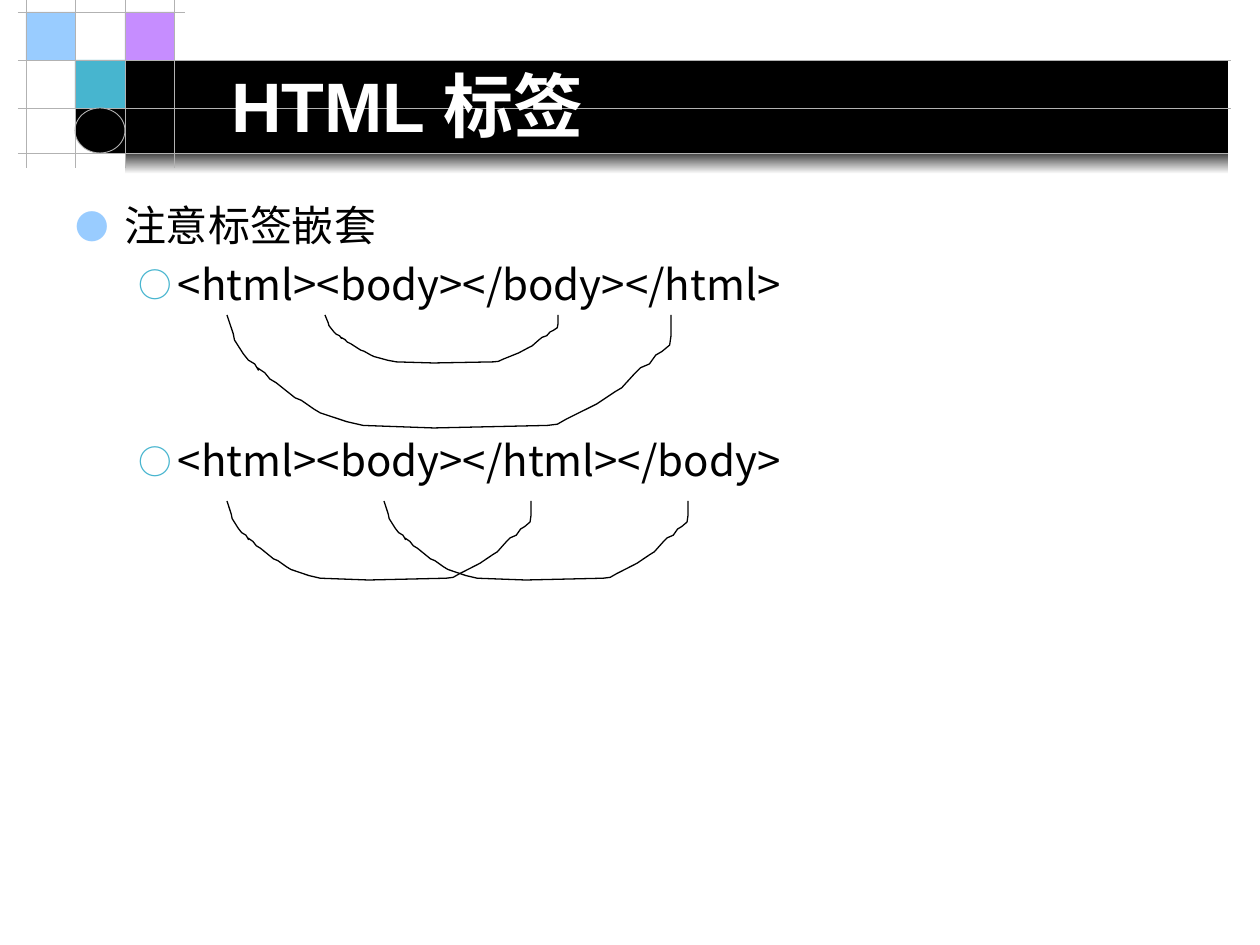
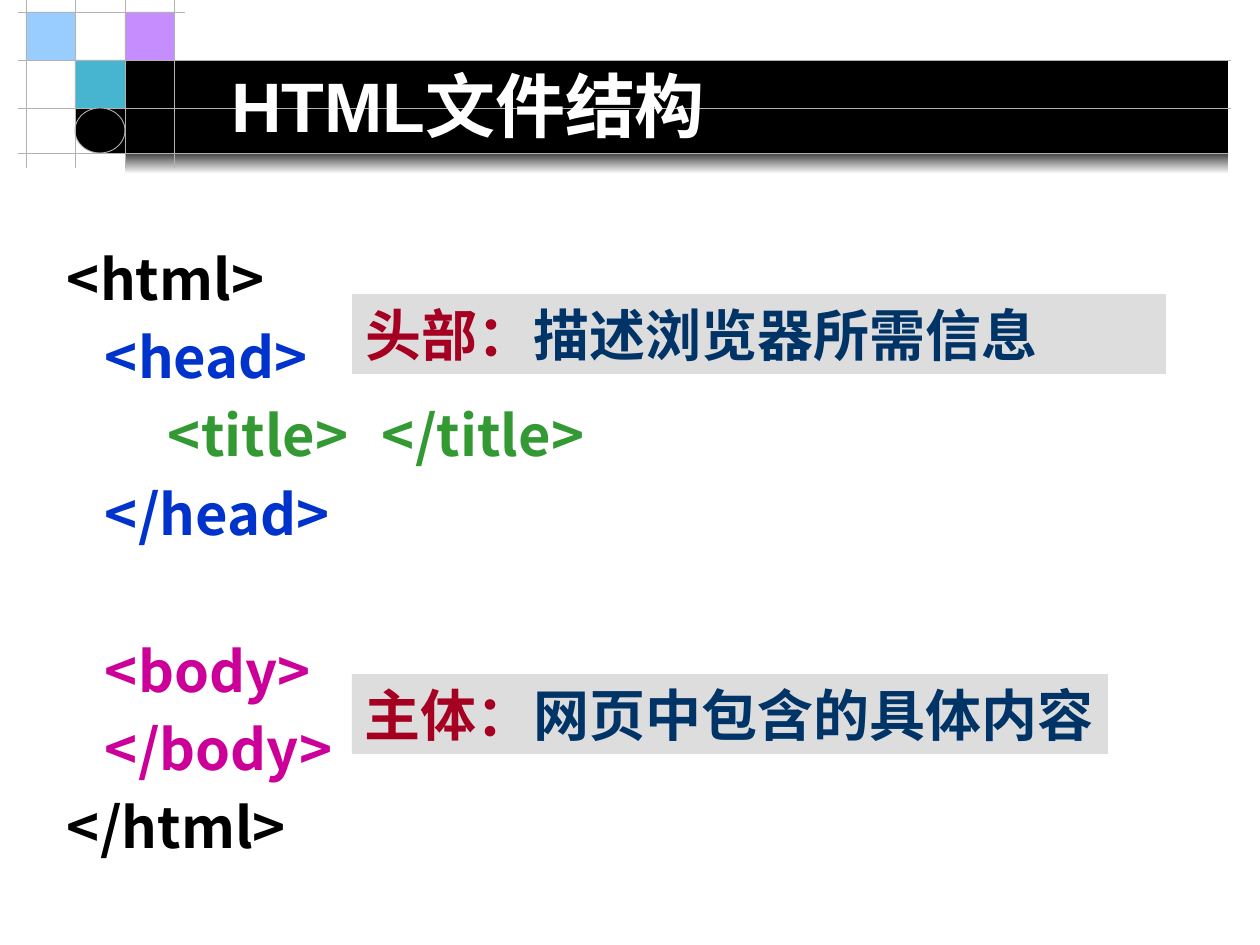
from dataclasses import dataclass

from lxml import etree
from pptx import Presentation
from pptx.dml.color import RGBColor
from pptx.enum.shapes import MSO_CONNECTOR, MSO_SHAPE
from pptx.enum.text import MSO_ANCHOR
from pptx.oxml.ns import qn
from pptx.util import Emu, Pt

RECT, OVAL = MSO_SHAPE.RECTANGLE, MSO_SHAPE.OVAL
STRAIGHT = MSO_CONNECTOR.STRAIGHT
TOP, MIDDLE = MSO_ANCHOR.TOP, MSO_ANCHOR.MIDDLE
PX = 914400 // 126


@dataclass(frozen=True)
class Theme:
    black: str = "000000"
    white: str = "FFFFFF"
    grid: str = "B2B2B2"
    sky: str = "99CCFF"
    violet: str = "C68DFF"
    teal: str = "47B5CF"
    blue: str = "0033CC"
    green: str = "339933"
    magenta: str = "CC0099"
    label_fill: str = "DDDDDD"
    label_term: str = "A50021"
    label_text: str = "003366"
    heading_font: str = "Arial"
    body_font: str = "Noto Sans CJK SC"
    label_font: str = "Times New Roman"
    title_size: int = 40
    nesting_size: int = 24
    code_size: int = 32
    pitch: float = 1.4  # line height in ems


THEME = Theme()

# Header grid: column and row lines, then cells as (column, row, colour)
COLUMNS = (26, 75, 125, 174)
ROWS = (12, 60, 108, 153)
GRID_LEFT, GRID_BOTTOM, BAND_RIGHT = 18, 168, 1228
ROW_ENDS = (185, 1231, 1231, 1228)
CELLS = [(2, 0, THEME.violet), (0, 0, THEME.sky), (1, 1, THEME.teal)]

# Nesting slide: (text, level, skipped lines before it)
NESTING_TITLE = "HTML 标签"
NESTING_LINES = [
    ("注意标签嵌套", 0, 0),
    ("<html><body></body></html>", 1, 0),
    ("<html><body></html></body>", 1, 2),
]
BULLETS = [("●", THEME.sky, 48, 48), ("○", THEME.teal, 102, 39)]
# Arc between a tag and its partner, drawn in a 352 by 90 field
ARC = [(0, 0), (5, 15), (6, 20), (13, 31), (17, 36), (22, 39), (25, 44),
       (24, 42), (30, 46), (34, 51), (39, 54), (54, 66), (59, 68), (69, 75),
       (74, 78), (95, 85), (108, 88), (164, 90), (254, 88), (262, 87),
       (269, 83), (283, 76), (293, 71), (308, 61), (313, 58), (323, 47),
       (328, 42), (335, 39), (340, 32), (345, 29), (351, 24), (352, 17),
       (352, 0)]
ARC_WIDTH, ARC_HEIGHT = 352, 90
TAG_ARCS = [(227, 315, 444, 113), (325, 315, 233, 48),
            (227, 501, 304, 79), (384, 501, 304, 79)]

# Structure slide: (text, colour, indent, skipped lines before it)
STRUCTURE_TITLE = "HTML文件结构"
CODE_LINES = [
    ("<html>", THEME.black, 0, 0),
    ("<head>", THEME.blue, 38, 0),
    ("<title>\t</title>", THEME.green, 101, 0),
    ("</head>", THEME.blue, 38, 0),
    ("<body>", THEME.magenta, 38, 1),
    ("</body>", THEME.magenta, 38, 0),
    ("</html>", THEME.black, 0, 0),
]
CLOSING_TAG_TAB = 333
LABELS = [
    ("头部：", "描述浏览器所需信息", (352, 294, 814, 80)),
    ("主体：", "网页中包含的具体内容", (352, 674, 756, 80)),
]


def rgb(colour):
    return RGBColor.from_string(colour)


def px(*lengths):
    return [Emu(round(length * PX)) for length in lengths]


def set_outline(line, colour, width):
    line.color.rgb = rgb(colour)
    line.width = Pt(width)


def add_block(slide, box, colour, kind=RECT, outline=None):
    block = slide.shapes.add_shape(kind, *px(*box))
    block.shadow.inherit = False
    block.fill.solid()
    block.fill.fore_color.rgb = rgb(colour)
    if outline:
        set_outline(block.line, outline, 0.5)
    else:
        block.line.fill.background()
    return block


def add_grid_line(slide, *ends):
    rule = slide.shapes.add_connector(STRAIGHT, *px(*ends))
    set_outline(rule.line, THEME.grid, 0.5)
    etree.SubElement(rule._element.spPr, qn("a:effectLst"))


def add_text(paragraph, text, *, size, color, font=THEME.body_font, bold=False):
    run = paragraph.add_run()
    run.text = text
    run.font.size = Pt(size)
    run.font.bold = bold
    run.font.name = font
    run.font.color.rgb = rgb(color)
    east_asian = etree.SubElement(run._r.get_or_add_rPr(), qn("a:ea"))
    east_asian.set("typeface", THEME.body_font)


def set_frame(shape, inset=0, anchor=TOP):
    frame = shape.text_frame
    frame.word_wrap = True
    frame.vertical_anchor = anchor
    frame.margin_left, = px(inset)
    frame.margin_right = frame.margin_top = frame.margin_bottom = 0
    return frame


def add_frame(slide, box, **options):
    return set_frame(slide.shapes.add_textbox(*px(*box)), **options)


def add_line(frame, index, size, skipped, margin=0, indent=0):
    """Return a paragraph on the fixed line pitch, after the skipped lines."""
    paragraph = frame.add_paragraph() if index else frame.paragraphs[0]
    pitch = size * THEME.pitch
    paragraph.line_spacing = Pt(pitch)
    paragraph.space_before = Pt(pitch * skipped)
    properties = paragraph._p.get_or_add_pPr()
    properties.set("marL", str(margin * PX))
    properties.set("indent", str(indent * PX))
    return paragraph


def add_bullet(paragraph, symbol, colour):
    properties = paragraph._p.get_or_add_pPr()
    bullet_colour = etree.SubElement(properties, qn("a:buClr"))
    etree.SubElement(bullet_colour, qn("a:srgbClr")).set("val", colour)
    etree.SubElement(properties, qn("a:buSzPct")).set("val", "80000")
    etree.SubElement(properties, qn("a:buFont")).set("typeface", THEME.body_font)
    etree.SubElement(properties, qn("a:buChar")).set("char", symbol)


def add_tab(paragraph, position):
    tabs = etree.SubElement(paragraph._p.get_or_add_pPr(), qn("a:tabLst"))
    tab = etree.SubElement(tabs, qn("a:tab"))
    tab.set("pos", str(position * PX))
    tab.set("algn", "l")


def add_header(slide, title):
    band_left, band_top, band_bottom = COLUMNS[1], ROWS[1], ROWS[3]
    fade_left = COLUMNS[2]
    fade = add_block(slide, (fade_left, 146, BAND_RIGHT - fade_left, 28), THEME.black)
    fade.fill.gradient()
    fade.fill.gradient_angle = 270
    for stop, colour in zip(fade.fill.gradient_stops, (THEME.black, THEME.white)):
        stop.color.rgb = rgb(colour)

    add_block(slide, (band_left, band_top, BAND_RIGHT - band_left, 72), THEME.black)
    add_block(slide, (97, 111, BAND_RIGHT - 97, band_bottom - 111), THEME.black)

    def cell_box(column, row):
        left, top = COLUMNS[column], ROWS[row]
        return left, top, COLUMNS[column + 1] - left, ROWS[row + 1] - top

    for column, row, colour in CELLS:
        add_block(slide, cell_box(column, row), colour)
    for y, right in zip(ROWS, ROW_ENDS):
        add_grid_line(slide, GRID_LEFT, y, right, y)
    add_block(slide, cell_box(1, 2), THEME.black, OVAL, THEME.grid)
    for x in COLUMNS:
        add_grid_line(slide, x, 0, x, GRID_BOTTOM)

    heading = add_frame(slide, (218, 55, 1042, 100), inset=13, anchor=MIDDLE)
    add_text(heading.paragraphs[0], title, size=THEME.title_size,
             color=THEME.white, font=THEME.heading_font, bold=True)


def add_tag_arc(slide, left, top, width, height):
    points = [(left + x * width / ARC_WIDTH, top + y * height / ARC_HEIGHT)
              for x, y in ARC]
    start, *rest = [px(*point) for point in points]
    builder = slide.shapes.build_freeform(*start)
    builder.add_line_segments(rest, close=False)
    arc = builder.convert_to_shape()
    arc.shadow.inherit = False
    arc.fill.background()
    set_outline(arc.line, THEME.black, 0.75)


def build_nesting(slide):
    add_header(slide, NESTING_TITLE)
    body = add_frame(slide, (76, 191, 1108, 740))
    size = THEME.nesting_size
    for index, (text, level, skipped) in enumerate(NESTING_LINES):
        symbol, colour, margin, hang = BULLETS[level]
        paragraph = add_line(body, index, size, skipped, margin, -hang)
        paragraph.level = level
        add_bullet(paragraph, symbol, colour)
        add_text(paragraph, text, size=size, color=THEME.black)
    for arc_box in TAG_ARCS:
        add_tag_arc(slide, *arc_box)


def build_structure(slide):
    add_header(slide, STRUCTURE_TITLE)
    body = add_frame(slide, (67, 233, 1126, 640))
    size = THEME.code_size
    for index, (code, colour, indent, skipped) in enumerate(CODE_LINES):
        paragraph = add_line(body, index, size, skipped, indent=indent)
        if "\t" in code:
            add_tab(paragraph, CLOSING_TAG_TAB)
        add_text(paragraph, code, size=size, color=colour, bold=True)
    for term, meaning, box in LABELS:
        label = set_frame(add_block(slide, box, THEME.label_fill), 13, MIDDLE)
        paragraph = label.paragraphs[0]
        paragraph.alignment = 1
        for text, colour in ((term, THEME.label_term), (meaning, THEME.label_text)):
            add_text(paragraph, text, size=size, color=colour,
                     font=THEME.label_font, bold=True)


def main():
    deck = Presentation()
    deck.slide_width, deck.slide_height = px(1260, 945)
    blank = deck.slide_layouts[6]
    for build in (build_nesting, build_structure):
        build(deck.slides.add_slide(blank))
    deck.save("out.pptx")


if __name__ == "__main__":
    main()
